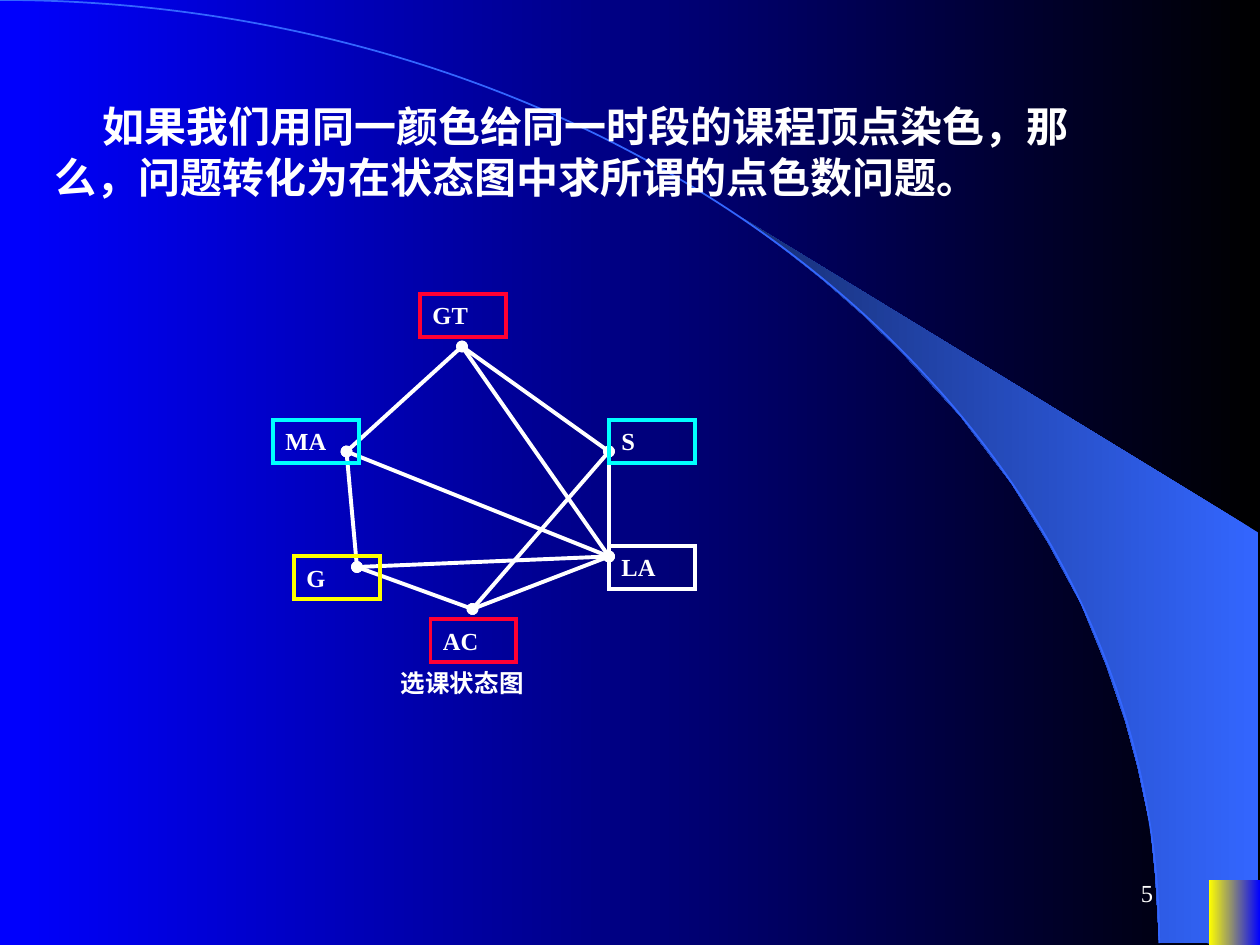
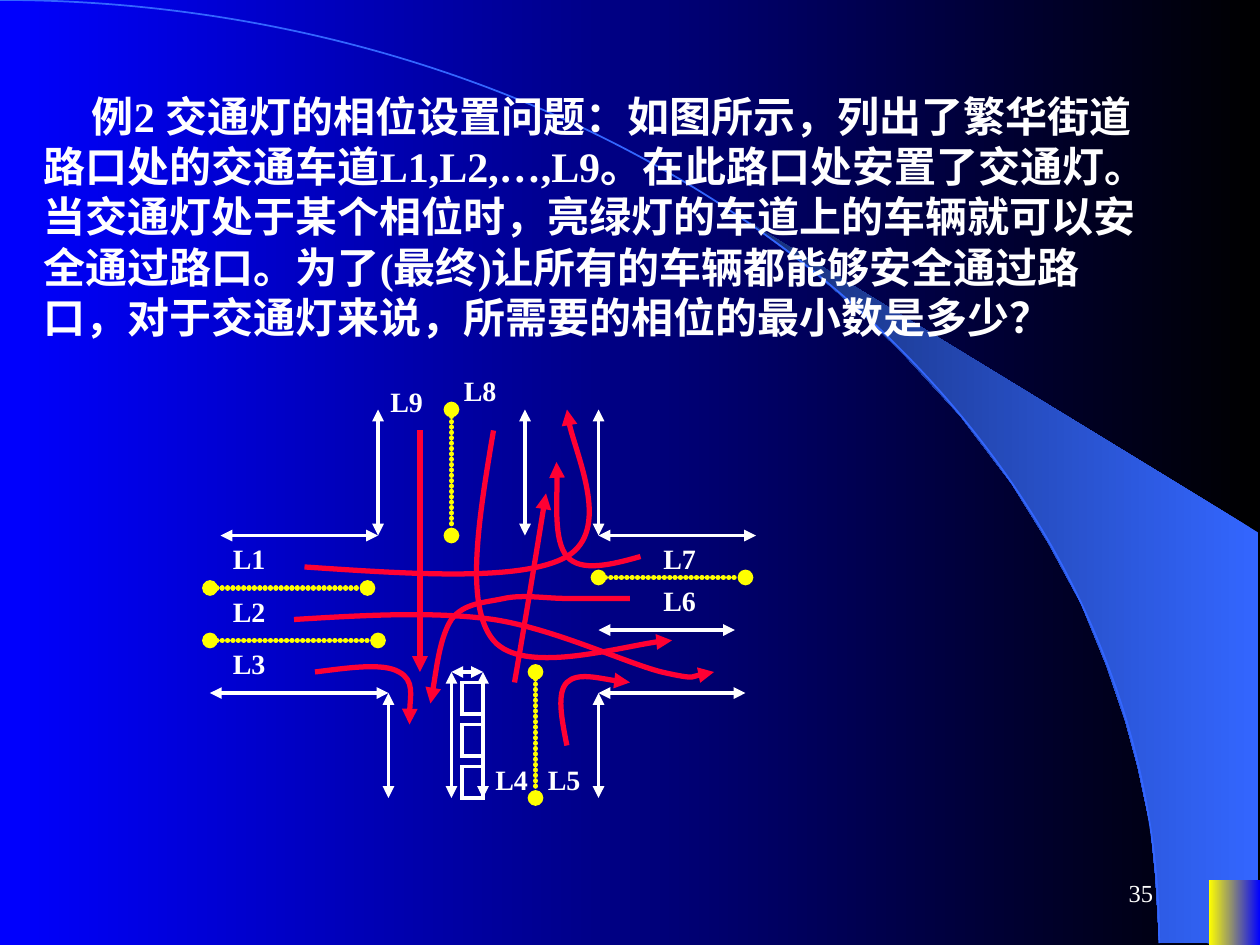
"""Build two slides on graph colouring: a course graph and a traffic junction."""
from dataclasses import dataclass

from lxml import etree
from pptx import Presentation
from pptx.dml.color import RGBColor
from pptx.enum.shapes import MSO_CONNECTOR, MSO_SHAPE
from pptx.enum.text import MSO_ANCHOR, PP_ALIGN
from pptx.oxml.ns import qn
from pptx.util import Cm, Pt

RECTANGLE, ARC = MSO_SHAPE.RECTANGLE, MSO_SHAPE.ARC
STRAIGHT = MSO_CONNECTOR.STRAIGHT
TOP, MIDDLE = MSO_ANCHOR.TOP, MSO_ANCHOR.MIDDLE
LEFT, RIGHT = PP_ALIGN.LEFT, PP_ALIGN.RIGHT
CELL = 2.54 / 12


@dataclass(frozen=True)
class Theme:
    font: str = "Times New Roman"
    white: RGBColor = RGBColor(0xFF, 0xFF, 0xFF)
    black: RGBColor = RGBColor(0x00, 0x00, 0x00)
    blue: RGBColor = RGBColor(0x00, 0x00, 0xFF)
    sky: RGBColor = RGBColor(0x33, 0x66, 0xFF)
    navy: RGBColor = RGBColor(0x17, 0x2F, 0x75)
    yellow: RGBColor = RGBColor(0xFF, 0xFF, 0x00)
    red: RGBColor = RGBColor(0xFF, 0x00, 0x33)
    cyan: RGBColor = RGBColor(0x00, 0xFF, 0xFF)
    passage: int = 24
    lane: int = 16
    small: int = 14
    thin: float = 1
    medium: float = 2.25
    thick: float = 3


theme = Theme()


def write(slide, text, box, size, bold=True, align=LEFT, anchor=TOP, border=None, indent=0):
    bounds = [Cm(CELL * value) for value in box]
    if border is None:
        holder = slide.shapes.add_textbox(*bounds)
    else:
        holder = slide.shapes.add_shape(RECTANGLE, *bounds)
        holder.shadow.inherit = False
        holder.fill.background()
        holder.line.color.rgb = border
        holder.line.width = Pt(theme.medium)
        ln = holder.element.spPr.find(qn("a:ln"))
        etree.SubElement(ln, qn("a:miter")).set("lim", "800000")
    frame = holder.text_frame
    frame.word_wrap = True
    frame.vertical_anchor = anchor
    paragraph = frame.paragraphs[0]
    paragraph.text = text
    paragraph.alignment = align
    if indent:
        settings = paragraph._p.get_or_add_pPr()
        settings.set("indent", str(indent))
        settings.set("hangingPunct", "0")
    paragraph.font.name = theme.font
    paragraph.font.size = Pt(size)
    paragraph.font.bold = bold
    paragraph.font.color.rgb = theme.white


def stroke(slide, points, color, width, head=None, tail=None, dotted=False):
    spots = [(Cm(CELL * x), Cm(CELL * y)) for x, y in points]
    if len(spots) == 2:
        trace = slide.shapes.add_connector(STRAIGHT, *spots[0], *spots[1])
    else:
        builder = slide.shapes.build_freeform(*spots[0])
        builder.add_line_segments(spots[1:], close=False)
        trace = builder.convert_to_shape()
        trace.shadow.inherit = False
        trace.fill.background()
        outline = trace.element.find(".//" + qn("a:path"))
        segments = outline.findall(qn("a:lnTo"))
        for first in range(0, len(segments), 3):
            bend = etree.SubElement(outline, qn("a:cubicBezTo"))
            for segment in segments[first:first + 3]:
                bend.append(segment[0])
                outline.remove(segment)
    trace.line.color.rgb = color
    trace.line.width = Pt(width)
    properties = trace.element.spPr
    ln = properties.find(qn("a:ln"))
    if dotted:
        ln.set("cap", "rnd")
        dot = etree.SubElement(etree.SubElement(ln, qn("a:custDash")), qn("a:ds"))
        dot.set("d", "100000")
        dot.set("sp", "2000")
    for tag, ending in (("a:headEnd", head), ("a:tailEnd", tail)):
        if ending:
            etree.SubElement(ln, qn(tag)).set("type", ending)
    if len(spots) == 2:
        etree.SubElement(properties, qn("a:effectLst"))


prs = Presentation()
prs.slide_width, prs.slide_height = Cm(25.4), Cm(19.05)

PAGES = [
    (5, (4, 9, 102, 10.8),
     "如果我们用同一颜色给同一时段的课程顶点染色，那么，问题转化为在状态图中求所谓的点色数问题。"),
    (35, (3, 8, 109, 25.2),
     "例2 交通灯的相位设置问题：如图所示，列出了繁华街道路口处的交通车道L1,L2,…,L9。"
     "在此路口处安置了交通灯。当交通灯处于某个相位时，亮绿灯的车道上的车辆就可以安全通过路口。"
     "为了(最终)让所有的车辆都能够安全通过路口，对于交通灯来说，所需要的相位的最小数是多少？"),
]
SWOOSH = [
    (110.4, 89.76), (119.88, 89.88), (119.88, 50.76), (70.68, 20.76), (74.88, 23.88),
    (78.36, 26.64), (82.2, 30), (85.92, 33.6), (91.44, 39.6), (96.36, 46.08),
    (99.84, 51.72), (102.96, 57.48), (105.36, 63.36), (107.16, 68.64),
    (108.36, 73.08), (109.56, 78.72), (110.04, 83.52),
]
HORIZON = (-110.4, 0, 220.8, 179.64)
CORNER = (115.14, 83.8, 4.86, 6.2)

slides = []
for number, passage_box, passage in PAGES:
    slide = prs.slides.add_slide(prs.slide_layouts[6])
    slides.append(slide)
    edge = [(Cm(CELL * x), Cm(CELL * y)) for x, y in SWOOSH]
    builder = slide.shapes.build_freeform(*edge[0])
    builder.add_line_segments(edge[1:], close=True)
    swoosh = builder.convert_to_shape()
    horizon, corner = [
        slide.shapes.add_shape(preset, *[Cm(CELL * value) for value in box])
        for preset, box in ((ARC, HORIZON), (RECTANGLE, CORNER))
    ]
    for ornament in (swoosh, horizon, corner):
        ornament.shadow.inherit = False
        ornament.line.fill.background()
    horizon.fill.background()
    horizon.line.color.rgb = theme.sky
    horizon.line.width = Pt(theme.thin)
    for fill, start, end in (
        (slide.background.fill, theme.black, theme.blue),
        (swoosh.fill, theme.sky, theme.navy),
        (corner.fill, theme.blue, theme.yellow),
    ):
        fill.gradient()
        fill.gradient_angle = 180
        for stop, color in zip(fill.gradient_stops, (start, end)):
            stop.color.rgb = color
    write(slide, passage, passage_box, theme.passage, indent=Cm(0.97))
    write(slide, str(number), (86, 82, 25, 6), theme.small, bold=False, align=RIGHT, anchor=MIDDLE)

course_slide, junction_slide = slides

COURSES = {
    "GT": ((44, 33), (40, 28), theme.red),
    "MA": ((33, 43), (26, 40), theme.cyan),
    "G": ((34, 54), (28, 53), theme.yellow),
    "AC": ((45, 58), (41, 59), theme.red),
    "LA": ((58, 53), (58, 52), theme.white),
    "S": ((58, 43), (58, 40), theme.cyan),
}
CONFLICTS = ["GT MA", "GT S", "MA G", "S LA", "G AC", "LA AC", "GT LA", "MA LA", "G LA", "S AC"]

for conflict in CONFLICTS:
    ends = [COURSES[course][0] for course in conflict.split()]
    stroke(course_slide, ends, theme.white, theme.medium, "oval", "oval")
for course, (vertex, corner_at, color) in COURSES.items():
    write(course_slide, course, (*corner_at, 8.16, 4.08), theme.small, border=color)
write(course_slide, "选课状态图", (37, 63, 19, 4.08), theme.small)

KERBS = [
    ((36, 39), (36, 51)), ((21, 51), (36, 51)), ((20, 66), (37, 66)), ((37, 66), (37, 76)),
    ((50, 39), (50, 51)), ((57, 39), (57, 51)), ((57, 51), (72, 51)), ((57, 60), (70, 60)),
    ((57, 66), (71, 66)), ((57, 66), (57, 76)), ((43, 64), (43, 76)), ((43, 64), (46, 64)),
    ((46, 64), (46, 76)),
]
DIVIDERS = [
    ((20, 56), (35, 56)), ((20, 61), (36, 61)), ((43, 39), (43, 51)),
    ((57, 55), (71, 55)), ((51, 64), (51, 76)),
]
LANE_NAMES = {
    "L5": (51, 72), "L4": (46, 72), "L3": (21, 61), "L2": (21, 56), "L1": (21, 51),
    "L9": (36, 36), "L8": (43, 35), "L7": (62, 51), "L6": (62, 55),
}
ROUTES = [
    [(40, 41), (40, 64)],
    [(28, 59), (34.6, 58.6), (41.2, 58.2), (47, 59), (52.8, 59.9), (59.5, 63.1), (63, 64),
     (66.5, 64.8), (67.2, 64), (68, 64)],
    [(30, 64), (33.2, 63.6), (36.5, 63.1), (38, 64), (39.5, 64.8), (38.9, 68.2), (39, 69)],
    [(60, 57), (58, 57), (56, 57), (54, 57), (52, 57), (49.8, 56.6), (48, 57),
     (46.2, 57.4), (44.2, 57.4), (43, 59), (41.9, 60.7), (41.3, 65.6), (41, 67)],
    [(54, 71), (53.5, 68.5), (53, 66), (54, 65), (55, 64), (59, 65), (60, 65)],
    [(47, 41), (45.6, 49.3), (44.2, 57.7), (47, 61), (49.8, 64.3), (61.2, 61), (64, 61)],
    [(61, 53), (58.2, 53.8), (55.3, 54.5), (54, 53), (52.7, 51.5), (53.2, 45.5), (53, 44)],
    [(49, 65), (50.3, 57.5), (51.5, 50), (52, 47)],
    [(29, 54), (39.4, 54.7), (49.8, 55.4), (54, 53), (58.2, 50.5), (54, 41.3), (54, 39)],
]

for kerb in KERBS:
    stroke(junction_slide, kerb, theme.white, theme.medium, "triangle", "triangle")
for divider in DIVIDERS:
    stroke(junction_slide, divider, theme.yellow, theme.thick, "oval", "oval", dotted=True)
for row in range(3):
    write(junction_slide, "", (44, 65 + 4 * row, 2, 3), theme.small, border=theme.white)
for lane, corner_at in LANE_NAMES.items():
    write(junction_slide, lane, (*corner_at, 7.2, 4.44), theme.lane)
for route in ROUTES:
    stroke(junction_slide, route, theme.red, theme.thick, tail="triangle")

prs.save("out.pptx")
